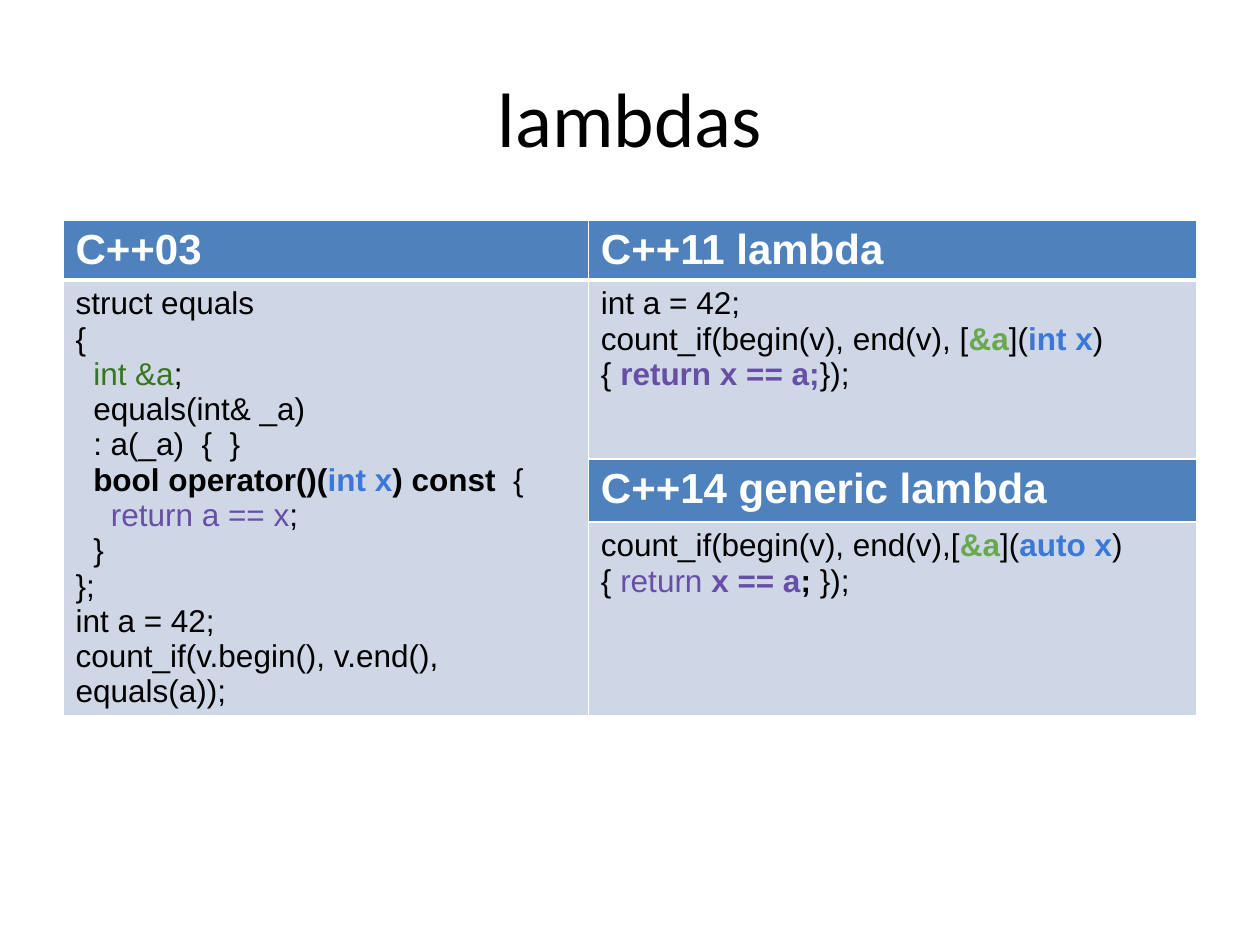
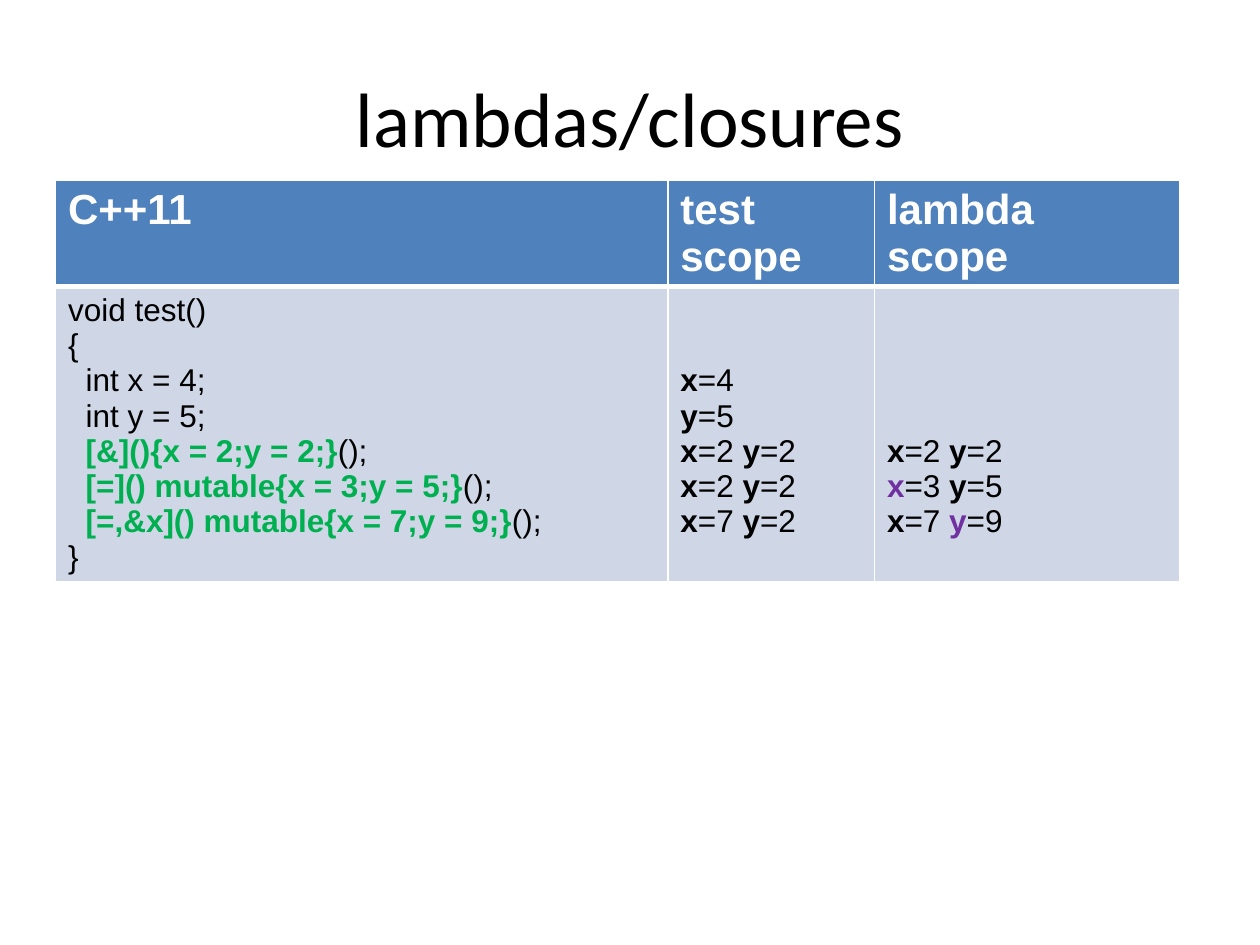
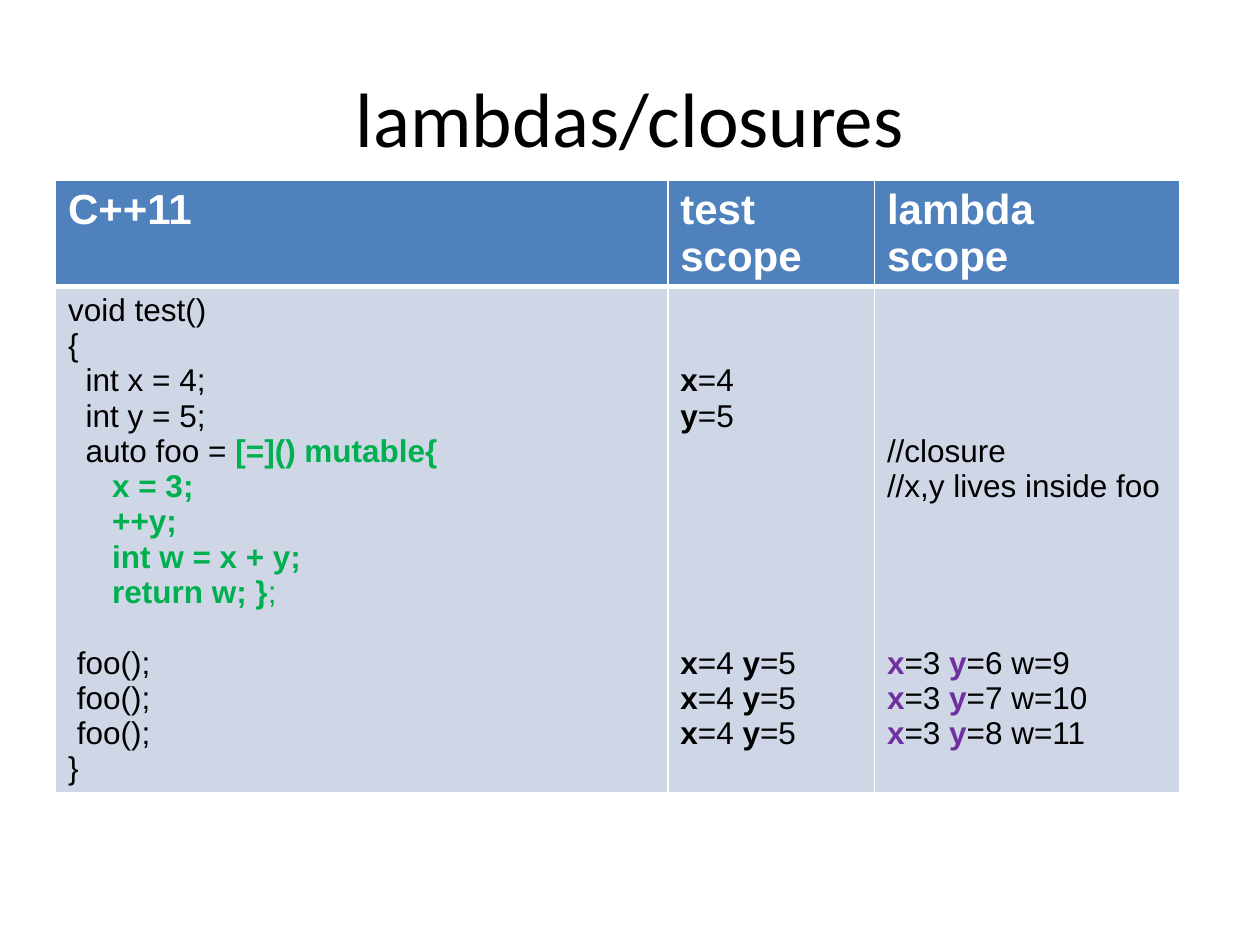
from dataclasses import dataclass

from lxml.etree import SubElement
from pptx import Presentation
from pptx.dml.color import RGBColor
from pptx.enum.text import MSO_ANCHOR, PP_ALIGN
from pptx.oxml.ns import qn
from pptx.slide import Slide
from pptx.table import _Cell
from pptx.text.text import _Paragraph
from pptx.util import Inches, Pt


@dataclass(frozen=True)
class Theme:
    """Colours, fonts, type sizes and text measures of the deck."""
    black: str = "000000"
    white: str = "FFFFFF"
    header_fill: str = "4F81BD"
    body_fill: str = "CFD7E7"
    member: str = "38761D"
    capture: str = "6AA84F"
    parameter: str = "3C78D8"
    result: str = "674EA7"
    closure: str = "00B050"
    private: str = "7030A0"
    title_font: str = "Calibri"
    table_font: str = "Arial"
    title_size: int = 44
    header_size: int = 24
    code_size: int = 18
    line_height: float = 0.28
    space_width: float = 0.07
    side_margin: float = 0.1
    end_margin: float = 0.05
    thin_rule: int = 1
    thick_rule: int = 3


THEME = Theme()


@dataclass(frozen=True)
class Span:
    """A stretch of text in one format."""
    text: str
    color: str = THEME.black
    bold: bool = False


@dataclass(frozen=True)
class Line:
    """A paragraph, indented by spaces and preceded by a gap of lines."""
    spans: tuple[Span, ...]
    indent: int = 0
    gap: int = 0


@dataclass(frozen=True)
class Entry:
    """The content of a table cell and the rows it covers."""
    row: int
    column: int
    lines: tuple[Line, ...]
    header: bool = False
    rows: int = 1


@dataclass(frozen=True)
class Grid:
    """A table with its place, column widths and row heights."""
    left: float
    top: float
    widths: tuple[float, ...]
    heights: tuple[float, ...]
    entries: tuple[Entry, ...]


def line(*parts: Span | str, indent: int = 0, gap: int = 0) -> Line:
    """Make a line from spans and plain strings."""
    spans = tuple(Span(part) if isinstance(part, str) else part for part in parts)
    return Line(spans, indent, gap)


def header(row: int, column: int, text: str) -> Entry:
    """Make a heading cell."""
    return Entry(row, column, (line(Span(text, THEME.white, True)),), header=True)


def scope(x: int, y: int, private: str = "", extra: str = "", gap: int = 0) -> Line:
    """Show both variables, with private copies coloured."""
    colors = {name: THEME.private if name in private else THEME.black for name in "xy"}
    return line(Span("x", colors["x"], True), f"={x} ", Span("y", colors["y"], True),
                f"={y}{extra}", gap=gap)


def add_span(para: _Paragraph, text: str, *, font: str, size: int,
             color: str = THEME.black, bold: bool = False) -> None:
    """Add formatted text to a paragraph."""
    span = para.add_run()
    span.text = text
    span.font.name = font
    span.font.size = Pt(size)
    span.font.bold = bold
    span.font.color.rgb = RGBColor.from_string(color)


def set_border(cell: _Cell, side: str, width: int) -> None:
    """Draw a white rule on one side of a cell."""
    properties = cell._tc.get_or_add_tcPr()
    rule = SubElement(properties, qn(f"a:ln{side}"), w=str(Pt(width)))
    fill = SubElement(rule, qn("a:solidFill"))
    SubElement(fill, qn("a:srgbClr"), val=THEME.white)


def style_cell(cell: _Cell, row: int, is_header: bool) -> None:
    """Set the rules, fill and margins of a cell."""
    for side in "LRTB":
        under_heading = (row, side) in ((0, "B"), (1, "T"))
        set_border(cell, side, THEME.thick_rule if under_heading else THEME.thin_rule)
    cell.fill.solid()
    cell.fill.fore_color.rgb = RGBColor.from_string(
        THEME.header_fill if is_header else THEME.body_fill)
    cell.margin_left = cell.margin_right = Inches(THEME.side_margin)
    cell.margin_top = cell.margin_bottom = Inches(THEME.end_margin)
    cell.vertical_anchor = MSO_ANCHOR.TOP


def write_entry(cell: _Cell, entry: Entry) -> None:
    """Write the lines of an entry into its cell."""
    size = THEME.header_size if entry.header else THEME.code_size
    frame = cell.text_frame
    for number, content in enumerate(entry.lines):
        para = frame.add_paragraph() if number else frame.paragraphs[0]
        gap = content.gap * THEME.line_height
        if gap and number:
            para.space_before = Inches(gap)
        elif gap:
            cell.margin_top = Inches(THEME.end_margin + gap)
        if content.indent:
            margin = Inches(content.indent * THEME.space_width)
            para._p.get_or_add_pPr().set("marL", str(margin))
        for span in content.spans:
            add_span(para, span.text, font=THEME.table_font, size=size,
                     color=span.color, bold=span.bold)


def add_grid(page: Slide, grid: Grid) -> None:
    """Draw a table."""
    frame = page.shapes.add_table(
        len(grid.heights), len(grid.widths), Inches(grid.left), Inches(grid.top),
        Inches(sum(grid.widths)), Inches(sum(grid.heights)))
    table = frame.table
    table.horz_banding = False
    for column, width in zip(table.columns, grid.widths):
        column.width = Inches(width)
    for row, height in zip(table.rows, grid.heights):
        row.height = Inches(height)
    for entry in grid.entries:
        for row in range(entry.row, entry.row + entry.rows):
            style_cell(table.cell(row, entry.column), row, entry.header)
        cell = table.cell(entry.row, entry.column)
        if entry.rows > 1:
            cell.merge(table.cell(entry.row + entry.rows - 1, entry.column))
        write_entry(cell, entry)


def add_page(deck: Presentation, title: str, grid: Grid) -> None:
    """Add a slide with a title and a table."""
    page = deck.slides.add_slide(deck.slide_layouts[5])
    box = page.shapes.title
    box.left, box.top, box.width, box.height = map(Inches, (0.5, 0.3, 9, 1.25))
    box.text_frame.vertical_anchor = MSO_ANCHOR.MIDDLE
    para = box.text_frame.paragraphs[0]
    para.alignment = PP_ALIGN.CENTER
    add_span(para, title, font=THEME.title_font, size=THEME.title_size)
    add_grid(page, grid)


def lambda_grid() -> Grid:
    """Compare a function object with lambdas."""
    functor = (
        line("struct equals"),
        line("{"),
        line(Span("int &a", THEME.member), ";", indent=2),
        line("equals(int& _a)", indent=2),
        line(": a(_a)  {  }", indent=2),
        line(Span("bool operator()(", bold=True), Span("int x", THEME.parameter, True),
             Span(") const", bold=True), "  {", indent=2),
        line(Span("return a == x", THEME.result), ";", indent=4),
        line("}", indent=2),
        line("};"),
        line("int a = 42;"),
        line("count_if(v.begin(), v.end(), equals(a));"),
    )
    captured = Span("&a", THEME.capture, True)
    plain = (
        line("int a = 42;"),
        line("count_if(begin(v), end(v), [", captured, "](",
             Span("int x", THEME.parameter, True), "){ ",
             Span("return x == a;", THEME.result, True), "});"),
    )
    generic = (
        line("count_if(begin(v), end(v),[", captured, "](",
             Span("auto x", THEME.parameter, True), ") { ",
             Span("return ", THEME.result), Span("x == a", THEME.result, True),
             Span("; ", bold=True), "});"),
    )
    return Grid(0.5, 1.75, (4.17, 4.83), (0.47, 1.42, 0.5, 1.54), (
        header(0, 0, "C++03"),
        header(0, 1, "C++11 lambda"),
        Entry(1, 0, functor, rows=3),
        Entry(1, 1, plain),
        header(2, 1, "C++14 generic lambda"),
        Entry(3, 1, generic),
    ))


def scope_grid(code: tuple[Line, ...], outer: tuple[Line, ...],
               inner: tuple[Line, ...]) -> Grid:
    """Set code beside the variables of both scopes."""
    opening = (line("void test()"), line("{"), line("int x = 4;", indent=2),
               line("int y = 5;", indent=2))
    start = (line(Span("x", bold=True), "=4", gap=2), line(Span("y", bold=True), "=5"))
    columns = (opening + code + (line("}"),), start + outer, inner)
    count = sum(1 + content.gap for content in columns[0])
    height = count * THEME.line_height + 2 * THEME.end_margin
    headings = ("C++11", "test scope", "lambda scope")
    entries = tuple(header(0, column, text) for column, text in enumerate(headings))
    entries += tuple(Entry(1, column, lines) for column, lines in enumerate(columns))
    return Grid(0.44, 1.43, (4.86, 1.64, 2.42), (0.84, height), entries)


def capture_grid() -> Grid:
    """Show captures by reference, by value and mixed."""
    closures = ("[&](){x = 2;y = 2;}", "[=]() mutable{x = 3;y = 5;}",
                "[=,&x]() mutable{x = 7;y = 9;}")
    code = tuple(line(Span(text, THEME.closure, True), "();", indent=2)
                 for text in closures)
    return scope_grid(code, (scope(2, 2), scope(2, 2), scope(7, 2)),
                      (scope(2, 2, gap=4), scope(3, 5, "x"), scope(7, 9, "y")))


def closure_grid() -> Grid:
    """Show a closure that keeps its state between calls."""
    statements = ("x = 3;", "++y;", "int w = x + y;")
    calls = range(3)
    code = (
        line("auto foo = ", Span("[=]() mutable{", THEME.closure, True), indent=2),
        *(line(Span(text, THEME.closure, True), indent=5) for text in statements),
        line(Span("return w; }", THEME.closure, True), Span(";", THEME.closure),
             indent=5),
        *(line("foo();", indent=1, gap=0 if call else 1) for call in calls),
    )
    outer = tuple(scope(4, 5, gap=0 if call else 6) for call in calls)
    inner = (
        line("//closure", gap=4),
        line("//x,y lives inside foo"),
        *(scope(3, 6 + call, "xy", f" w={9 + call}", gap=0 if call else 4)
          for call in calls),
    )
    return scope_grid(code, outer, inner)


def build() -> None:
    """Build and save the deck."""
    deck = Presentation()
    deck.slide_width, deck.slide_height = Inches(10), Inches(7.5)
    add_page(deck, "lambdas", lambda_grid())
    add_page(deck, "lambdas/closures", capture_grid())
    add_page(deck, "lambdas/closures", closure_grid())
    deck.save("out.pptx")


build()
